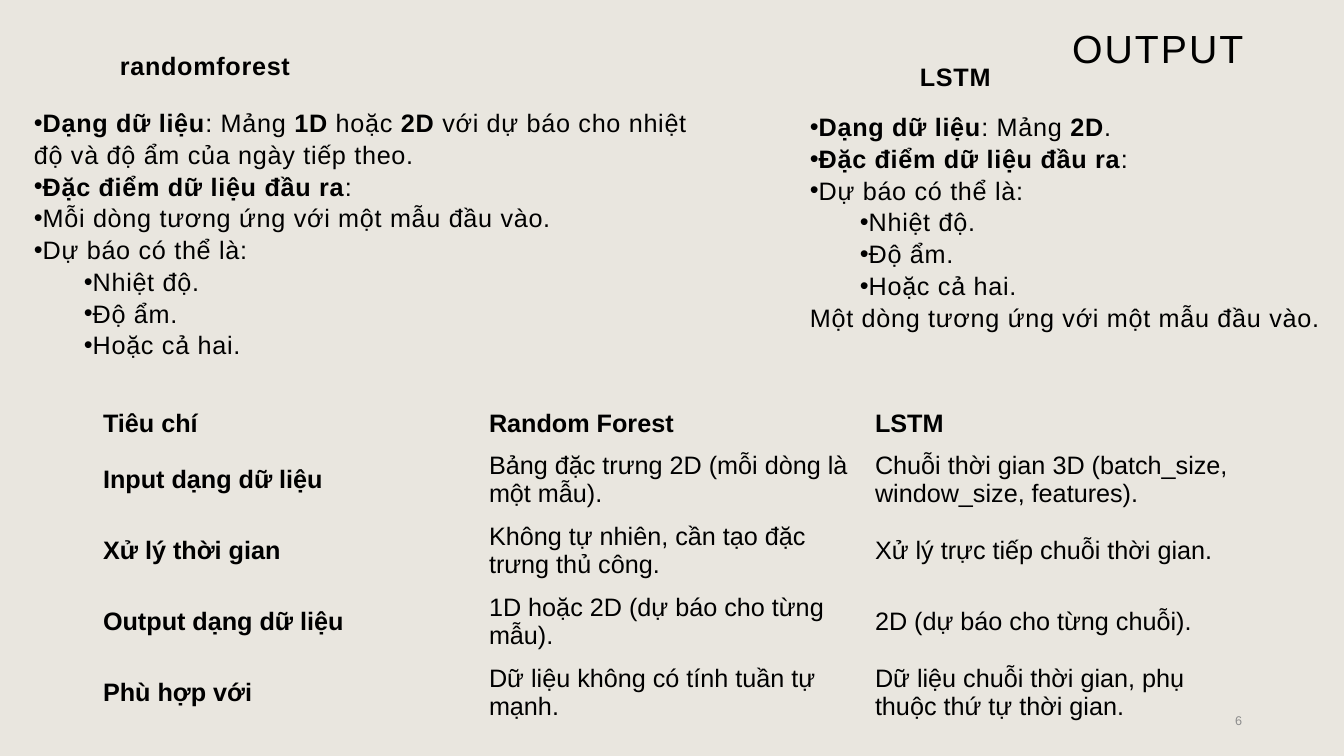
from dataclasses import dataclass

from lxml import etree
from pptx import Presentation
from pptx.dml.color import RGBColor
from pptx.enum.text import MSO_ANCHOR, MSO_AUTO_SIZE, PP_ALIGN
from pptx.oxml.ns import qn
from pptx.util import Pt

TOP, MIDDLE, BOTTOM = MSO_ANCHOR.TOP, MSO_ANCHOR.MIDDLE, MSO_ANCHOR.BOTTOM
LEFT, RIGHT = PP_ALIGN.LEFT, PP_ALIGN.RIGHT
NO_AUTOFIT = MSO_AUTO_SIZE.NONE
TITLE_ONLY = 5
PLAIN_TABLE_STYLE = "{2D5ABB26-0587-4C30-8999-92F81FD0307C}"
PX = 12192000 / 1344


@dataclass(frozen=True)
class Theme:
    font: str = "Arial"
    background: RGBColor = RGBColor(0xE9, 0xE6, 0xDF)
    text: RGBColor = RGBColor(0, 0, 0)
    muted: RGBColor = RGBColor(0x8C, 0x8C, 0x8C)
    title_size: int = 28
    body_size: int = 18
    number_size: int = 9
    title_spacing: int = 150
    body_spacing: int = 50


THEME = Theme()


def place(shape, box, anchor=TOP):
    """Set the shape's box in px and return its first paragraph."""
    shape.left, shape.top, shape.width, shape.height = (round(v * PX) for v in box)
    frame = shape.text_frame
    frame.auto_size = NO_AUTOFIT
    frame.word_wrap = True
    frame.vertical_anchor = anchor
    paragraph = frame.paragraphs[0]
    paragraph.alignment = LEFT
    return paragraph


def add_run(paragraph, text, size=THEME.body_size, bold=False, color=THEME.text, spacing=0):
    run = paragraph.add_run()
    run.text = text
    font = run.font
    font.name, font.size, font.bold = THEME.font, Pt(size), bold
    font.color.rgb = color
    if spacing:
        font._element.set("spc", str(spacing))


presentation = Presentation()
presentation.slide_width = round(1344 * PX)
presentation.slide_height = round(756 * PX)
slide = presentation.slides.add_slide(presentation.slide_layouts[TITLE_ONLY])
slide.background.fill.solid()
slide.background.fill.fore_color.rgb = THEME.background

# Title
paragraph = place(slide.shapes.title, (1062, -9, 266, 86), BOTTOM)
paragraph.line_spacing = 0.9
add_run(paragraph, "OUTPUT", THEME.title_size, spacing=THEME.title_spacing)

# Model headings
for heading, box in (("randomforest", (110, 49, 432, 51)), ("LSTM", (910, 60, 409, 40))):
    paragraph = place(slide.shapes.add_textbox(0, 0, 0, 0), box)
    paragraph.line_spacing = 0.9
    add_run(paragraph, heading, bold=True, spacing=THEME.body_spacing)

# Output descriptions: each line is (indent in px, bulleted, runs of (text, bold))
data_label = ("Dạng dữ liệu", True)
features = (0, True, [("Đặc điểm dữ liệu đầu ra", True), (":", False)])
forecasts = [(0, True, [("Dự báo có thể là:", False)])]
forecasts += [(50, True, [(text, False)]) for text in ("Nhiệt độ.", "Độ ẩm.", "Hoặc cả hai.")]
forest_lines = [
    (0, True, [data_label, (": Mảng ", False), ("1D ", True), ("hoặc ", False), ("2D ", True),
               ("với dự báo cho nhiệt độ và độ ẩm của ngày tiếp theo.", False)]),
    features,
    (0, True, [("Mỗi dòng tương ứng với một mẫu đầu vào.", False)]),
    *forecasts,
]
lstm_lines = [
    (0, True, [data_label, (": Mảng ", False), ("2D", True), (".", False)]),
    features,
    *forecasts,
    (0, False, [("Một dòng tương ứng với một mẫu đầu vào.", False)]),
]
for lines, box in ((forest_lines, (24, 101, 683, 285)), (lstm_lines, (800, 105, 543, 254))):
    shape = slide.shapes.add_textbox(0, 0, 0, 0)
    paragraph = place(shape, box)
    for index, (indent, bulleted, runs) in enumerate(lines):
        if index:
            paragraph = shape.text_frame.add_paragraph()
        paragraph.line_spacing = 1.05
        properties = paragraph._p.get_or_add_pPr()
        properties.set("marL", str(round(indent * PX)))
        properties.set("indent", "0")
        if bulleted:
            etree.SubElement(properties, qn("a:buFont")).set("typeface", THEME.font)
            etree.SubElement(properties, qn("a:buChar")).set("char", "•")
        for text, bold in runs:
            add_run(paragraph, text, bold=bold, spacing=THEME.body_spacing)

# Comparison table
comparison = [
    ("Tiêu chí", "Random Forest", "LSTM"),
    ("Input dạng dữ liệu", "Bảng đặc trưng 2D (mỗi dòng là một mẫu).",
     "Chuỗi thời gian 3D (batch_size, window_size, features)."),
    ("Xử lý thời gian", "Không tự nhiên, cần tạo đặc trưng thủ công.",
     "Xử lý trực tiếp chuỗi thời gian."),
    ("Output dạng dữ liệu", "1D hoặc 2D (dự báo cho từng mẫu).",
     "2D (dự báo cho từng chuỗi)."),
    ("Phù hợp với", "Dữ liệu không có tính tuần tự mạnh.",
     "Dữ liệu chuỗi thời gian, phụ thuộc thứ tự thời gian."),
]
header_height, row_height, column_width = 40, 71, 386
table_height = header_height + row_height * (len(comparison) - 1)
table = slide.shapes.add_table(
    len(comparison), 3,
    *(round(v * PX) for v in (93, 404, column_width * 3, table_height))).table
table.first_row = table.horz_banding = False
table._tbl.tblPr.find(qn("a:tableStyleId")).text = PLAIN_TABLE_STYLE
for column in table.columns:
    column.width = round(column_width * PX)
for row_index, texts in enumerate(comparison):
    table.rows[row_index].height = round((row_height if row_index else header_height) * PX)
    for column_index, text in enumerate(texts):
        cell = table.cell(row_index, column_index)
        cell.fill.background()
        cell.vertical_anchor = MIDDLE
        add_run(cell.text_frame.paragraphs[0], text, bold=row_index == 0 or column_index == 0)

# Slide number
paragraph = place(slide.shapes.add_textbox(0, 0, 0, 0), (1143, 701, 109, 40), MIDDLE)
paragraph.alignment = RIGHT
add_run(paragraph, "6", THEME.number_size, color=THEME.muted)

presentation.save("out.pptx")
